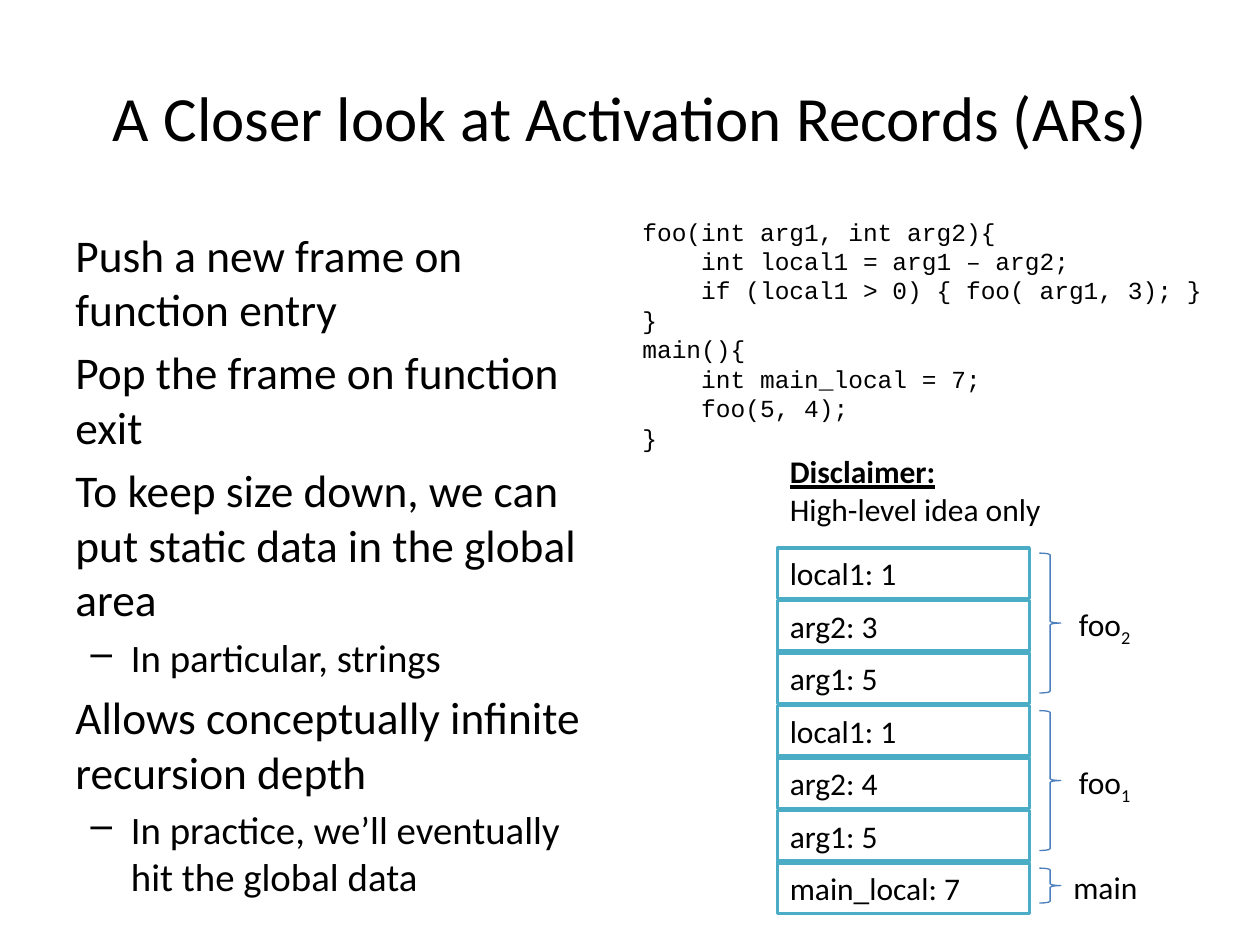
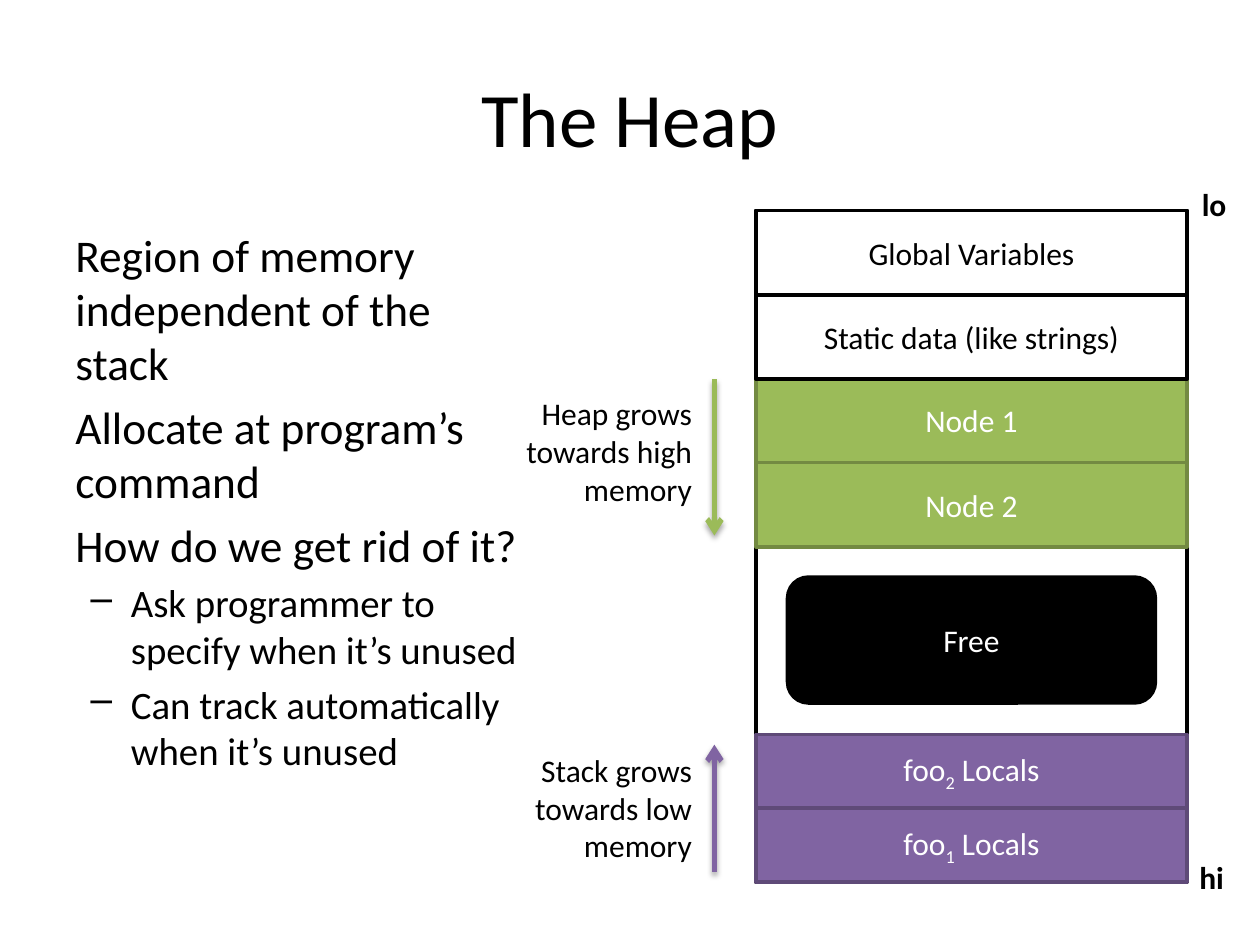
import pptx
import pptx.util
import pptx.dml.color
import pptx.enum.shapes
import pptx.enum.text
import pptx.oxml
import pptx.oxml.ns

Inches, Pt = pptx.util.Inches, pptx.util.Pt
SHAPE = pptx.enum.shapes.MSO_SHAPE
ALIGN = pptx.enum.text.PP_ALIGN
ANCHOR = pptx.enum.text.MSO_ANCHOR
NS = pptx.oxml.ns.nsdecls("a")

COLORS = {
    "black": "000000", "white": "FFFFFF", "frame": "4BACC6", "brace": "4B7EBC",
    "heap": "9BBB59", "heap_edge": "738A42", "stack": "8064A2", "stack_edge": "5F4A78",
}
LABEL = {"size": 18, "name": "Calibri", "color": "black"}
CODE = {"size": 14, "name": "Courier New"}
BULLET_SIZES = (25.9, 22.2)

CODE_LINES = [
    "foo(int arg1, int arg2){",
    "    int local1 = arg1 – arg2;",
    "    if (local1 > 0) { foo( arg1, 3); }\v}",
    "main(){",
    "    int main_local = 7;",
    "    foo(5, 4);\v}",
]


def rgb(name):
    return pptx.dml.color.RGBColor.from_string(COLORS[name])


def style_font(font, **values):
    """Apply the label format, changed by the given values."""
    for key, value in {**LABEL, **values}.items():
        if key == "color":
            font.color.rgb = rgb(value)
        else:
            setattr(font, key, Pt(value) if key == "size" else value)


def write(p, text, align=ALIGN.LEFT, **font):
    """Write text into a paragraph; a part between ~ marks is a subscript."""
    p.alignment = align
    for i, part in enumerate(text.split("~")):
        for j, line in enumerate(part.split("\v")):
            if j:
                p.add_line_break()
            if not line:
                continue
            r = p.add_run()
            r.text = line
            style_font(r.font, **font)
            if i % 2:
                r.font._element.set("baseline", "-25000")


def add_text(s, box, lines, wrap=True, anchor=ANCHOR.TOP, align=ALIGN.LEFT, **font):
    tf = s.shapes.add_textbox(*map(Inches, box)).text_frame
    tf.word_wrap, tf.vertical_anchor = wrap, anchor
    for i, line in enumerate(lines):
        p = tf.add_paragraph() if i else tf.paragraphs[0]
        write(p, line, align, **font)
    return tf


def add_box(s, box, fill, edge, text="", kind=SHAPE.RECTANGLE, align=ALIGN.CENTER,
            width=2, **font):
    sp = s.shapes.add_shape(kind, *map(Inches, box))
    sp.shadow.inherit = False
    if fill:
        sp.fill.solid()
        sp.fill.fore_color.rgb = rgb(fill)
    else:
        sp.fill.background()
    sp.line.color.rgb = rgb(edge)
    sp.line.width = Pt(width)
    if text:
        sp.text_frame.word_wrap = True
        sp.text_frame.vertical_anchor = ANCHOR.MIDDLE
        write(sp.text_frame.paragraphs[0], text, align, **font)
    return sp


def add_arrow(s, x, start, end, color):
    """Vertical arrow with a soft shadow below it."""
    line = s.shapes.add_connector(
        pptx.enum.shapes.MSO_CONNECTOR.STRAIGHT, *map(Inches, (x, start, x, end)))
    line.line.color.rgb = rgb(color)
    line.line.width = Pt(3)
    line.line._get_or_add_ln().append(
        pptx.oxml.parse_xml(f'<a:tailEnd {NS} type="arrow"/>'))
    line._element.spPr.append(pptx.oxml.parse_xml(
        f'<a:effectLst {NS}><a:outerShdw blurRad="{Pt(3.1)}" dist="{Pt(1.8)}" '
        f'dir="5400000" rotWithShape="0"><a:srgbClr val="{COLORS["black"]}">'
        '<a:alpha val="35000"/></a:srgbClr></a:outerShdw></a:effectLst>'))


def add_content_slide(prs, title, title_size, body_width, points):
    """Slide with a centred title and a two-level list on the left."""
    s = prs.slides.add_slide(prs.slide_layouts[6])
    add_text(s, (0.5, 0.3, 9, 1.25), [title], anchor=ANCHOR.MIDDLE,
             align=ALIGN.CENTER, size=title_size)
    tf = add_text(s, (0.5, 1.75, body_width, 4.95), [])
    for i, (level, text) in enumerate(points):
        p = tf.add_paragraph() if i else tf.paragraphs[0]
        size = BULLET_SIZES[level]
        write(p, text, size=size)
        p.level = level
        p.space_before = Pt(0.2 * size)
        if level:
            pPr = p._p.get_or_add_pPr()
            pPr.set("marL", str(Inches(0.44)))
            pPr.set("indent", str(Inches(-0.32)))
            pPr.append(pptx.oxml.parse_xml(f'<a:buChar {NS} char="–"/>'))
    return s


def draw_call_stack(s, left, top, frames):
    """Rows of every frame, each frame with a brace and its name."""
    pitch, row_height = 2.5 / 6, 0.4
    for name, rows, label_width in frames:
        for i, row in enumerate(rows):
            add_box(s, (left, top + i * pitch, 2, row_height), "white", "frame",
                    row, align=ALIGN.LEFT)
        height = len(rows) * pitch
        brace = add_box(s, (left + 2.08, top + 0.04, 0.17, height - 0.14), None,
                        "brace", kind=SHAPE.LEFT_BRACE, width=0.75)
        brace._element.spPr.xfrm.set("flipH", "1")
        add_text(s, (left + 2.61 - label_width / 2, top + height / 2 - 0.22,
                     label_width, 0.4), [name], wrap=False)
        top += height


def draw_memory_map(s, left, top, width, height):
    """Memory from low to high addresses, with the directions of growth."""
    add_box(s, (left, top, width, height), "white", "black")
    # Sections: offset, row height, fill, edge, text colour, rows
    sections = [
        (1.33, 0.67, "heap", "heap_edge", "white", ["Node 1", "Node 2"]),
        (0, 0.67, "white", "black", "black",
         ["Global Variables", "Static data (like strings)"]),
        (4.16, 0.585, "stack", "stack_edge", "white",
         ["foo~2~ Locals", "foo~1~ Locals"]),
    ]
    for offset, row, fill, edge, color, names in sections:
        for i, name in enumerate(names):
            add_box(s, (left, top + offset + i * row, width, row), fill, edge,
                    name, color=color)
    add_box(s, (left + 0.25, top + 2.91, width - 0.5, 1), "black", "black", "Free",
            kind=SHAPE.ROUNDED_RECTANGLE, color="white")

    # Growth: text offset, arrow start and end, colour, text
    growth = [
        (1.41, 1.34, 2.58, "heap", "Heap grows towards high memory"),
        (4.24, 5.25, 4.24, "stack", "Stack grows towards low memory"),
    ]
    for offset, start, end, color, text in growth:
        add_text(s, (left - 2.08, top + offset, 1.67, 1.01), [text],
                 align=ALIGN.RIGHT)
        add_arrow(s, left - 0.33, top + start, top + end, color)

    # Address ends
    for x, y, text in [(0.02, -0.25, "lo"), (0, height - 0.24, "hi")]:
        add_text(s, (left + width + x, top + y, 0.4, 0.4), [text], wrap=False,
                 bold=True)


def build_records_slide(prs):
    s = add_content_slide(prs, "A Closer look at Activation Records (ARs)", 36, 4.42, [
        (0, "Push a new frame on function entry"),
        (0, "Pop the frame on function exit"),
        (0, "To keep size down, we can put static data in the global area"),
        (1, "In particular, strings"),
        (0, "Allows conceptually infinite recursion depth"),
        (1, "In practice, we’ll eventually hit the global data"),
    ])
    add_text(s, (5, 1.67, 4.67, 1.99), CODE_LINES, wrap=False, **CODE)
    tf = add_text(s, (6.17, 3.54, 3.33, 0.71), ["Disclaimer:", "High-level idea only"])
    style_font(tf.paragraphs[0].runs[0].font, bold=True, underline=True)
    draw_call_stack(s, 6.17, 4.35, [
        ("foo~2~", ["local1: 1", "arg2: 3", "arg1: 5"], 0.63),
        ("foo~1~", ["local1: 1", "arg2: 4", "arg1: 5"], 0.63),
        ("main", ["main_local: 7"], 0.72),
    ])


def build_heap_slide(prs):
    s = add_content_slide(prs, "The Heap", 44, 3.75, [
        (0, "Region of memory independent of the stack"),
        (0, "Allocate at program’s command"),
        (0, "How do we get rid of it?"),
        (1, "Ask programmer to specify when it’s unused"),
        (1, "Can track automatically when it’s unused"),
    ])
    draw_memory_map(s, 6, 1.67, 3.42, 5.33)


def main():
    prs = pptx.Presentation()
    prs.slide_width, prs.slide_height = Inches(10), Inches(7.5)
    build_records_slide(prs)
    build_heap_slide(prs)
    prs.save("out.pptx")


if __name__ == "__main__":
    main()
